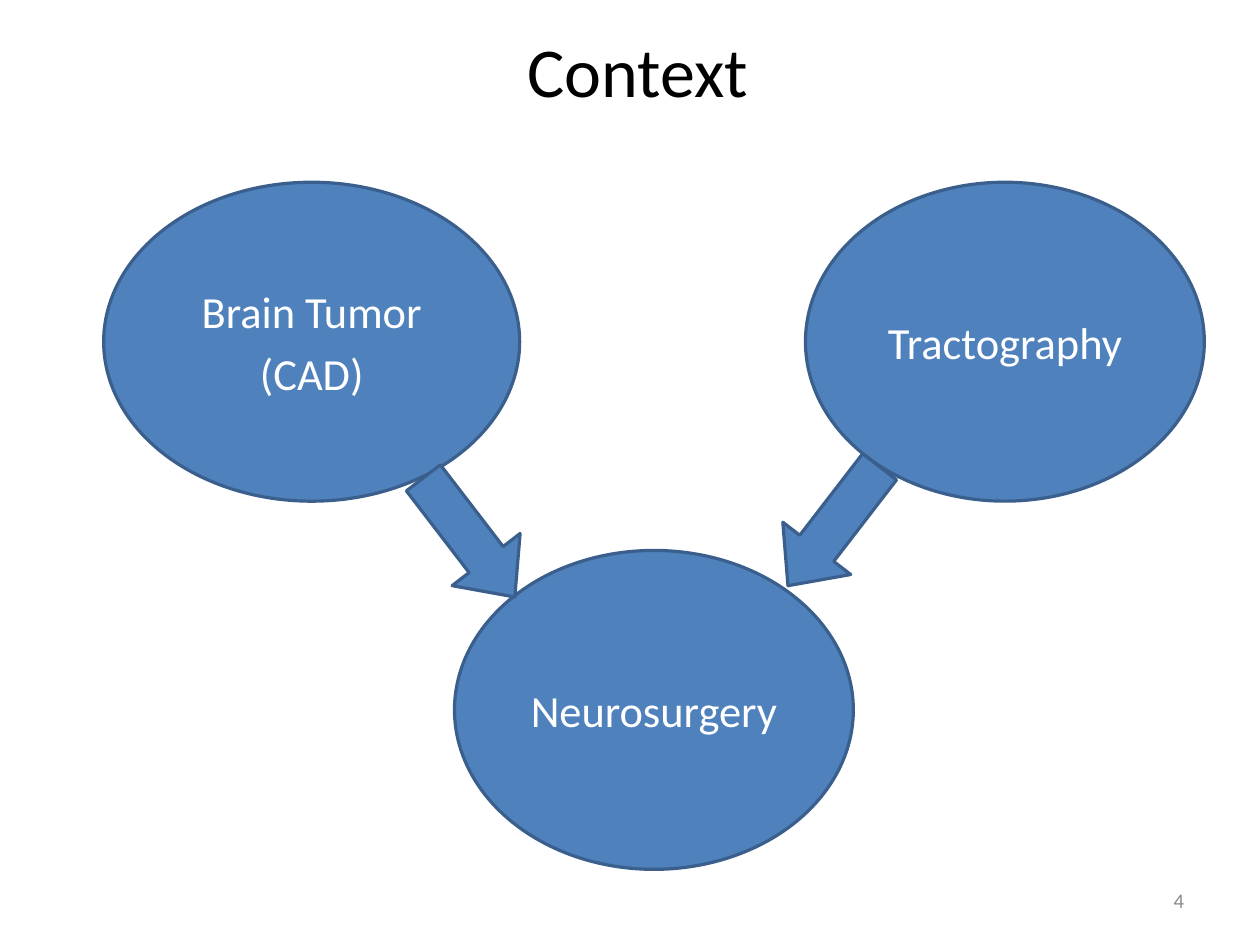
import pptx
import pptx.dml.color
import pptx.enum.shapes
import pptx.enum.text
import pptx.util

Pt = pptx.util.Pt
SHAPE = pptx.enum.shapes.MSO_SHAPE
ALIGN = pptx.enum.text.PP_ALIGN

FONT = "Calibri"
FILL, OUTLINE = "4F81BD", "3A5F8C"


def color(value):
    return pptx.dml.color.RGBColor.from_string(value)


def write(sp, lines, size, ink, align, gap=0):
    tf = sp.text_frame
    frame = {
        "word_wrap": True,
        "vertical_anchor": pptx.enum.text.MSO_ANCHOR.MIDDLE,
        "margin_left": Pt(7.92), "margin_right": Pt(7.92),
        "margin_top": Pt(4.32), "margin_bottom": Pt(4.32),
    }
    for name, value in frame.items():
        setattr(tf, name, value)
    for i, line in enumerate(lines):
        p = tf.add_paragraph() if i else tf.paragraphs[0]
        p.alignment = align
        p.space_before = Pt(gap if i else 0)
        r = p.add_run()
        r.text = line
        for name, value in {"name": FONT, "size": Pt(size)}.items():
            setattr(r.font, name, value)
        r.font.color.rgb = color(ink)


def add_label(s, box, text, size, ink, align):
    sp = s.shapes.add_textbox(*map(Pt, box))
    write(sp, [text], size, ink, align)


def add_figure(s, kind, box):
    sp = s.shapes.add_shape(kind, *map(Pt, box))
    sp.shadow.inherit = False
    sp.fill.solid()
    sp.fill.fore_color.rgb = color(FILL)
    sp.line.color.rgb = color(OUTLINE)
    sp.line.width = Pt(2)
    return sp


def add_topic(s, left, top, width, lines):
    sp = add_figure(s, SHAPE.OVAL, (left, top, width, 200.88))
    write(sp, lines, 28, "FFFFFF", ALIGN.CENTER, gap=5.6)


def add_arrow(s, left, top, angle):
    sp = add_figure(s, SHAPE.DOWN_ARROW, (left, top, 54, 94.6))
    sp.adjustments[0] = 0.5
    sp.adjustments[1] = 0.55
    sp.rotation = angle


def main():
    prs = pptx.Presentation()
    prs.slide_width, prs.slide_height = Pt(793.75), Pt(595.25)
    s = prs.slides.add_slide(prs.slide_layouts[6])

    # Title and page number
    add_label(s, (44.64, 14.4, 714.24, 59.04), "Context", 44.1, "000000", ALIGN.CENTER)
    add_label(s, (568.8, 551, 185.04, 31.68), "4", 13, "8C8C8C", ALIGN.RIGHT)

    # Topics
    add_topic(s, 507.4, 114.8, 251.28, ["Tractography"])
    add_topic(s, 65.3, 114.8, 262.08, ["Brain Tumor", "(CAD)"])
    add_topic(s, 286.3, 346.7, 251.28, ["Neurosurgery"])

    # Arrows leading to neurosurgery
    add_arrow(s, 268.56, 291.2, 322.5)
    add_arrow(s, 498.24, 284.2, 37.6)

    prs.save("out.pptx")


if __name__ == "__main__":
    main()
